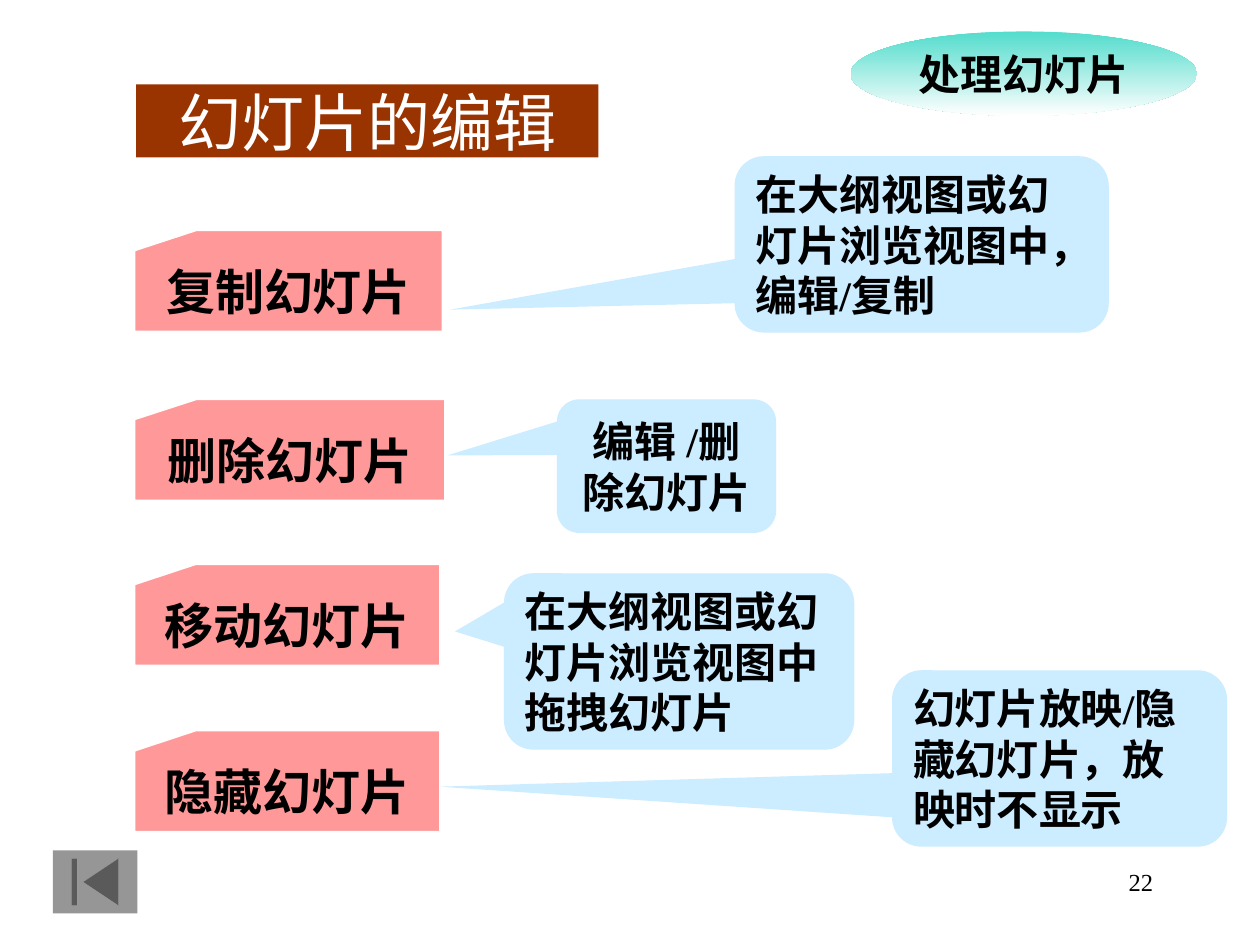
from pptx import Presentation
from pptx.dml.color import RGBColor
from pptx.enum.shapes import MSO_SHAPE as Preset
from pptx.enum.text import MSO_ANCHOR as Anchor, MSO_AUTO_SIZE as AutoSize, PP_ALIGN as Align
from pptx.util import Inches, Pt

FONT = "Times New Roman"
BLACK = RGBColor(0x00, 0x00, 0x00)
WHITE = RGBColor(0xFF, 0xFF, 0xFF)
BROWN = RGBColor(0x99, 0x33, 0x00)
PINK = RGBColor(0xFF, 0x99, 0x99)
PALE_BLUE = RGBColor(0xCC, 0xEC, 0xFF)
TEAL = RGBColor(0x52, 0xDC, 0xCC)
GREY = RGBColor(0x96, 0x96, 0x96)

# Box, horizontal and vertical pointer offset, alignment, text
CALLOUTS = [
    ((5.83, 1.24, 2.97, 1.4), -1.26, 0.37, Align.LEFT, "在大纲视图或幻灯片浏览视图中，编辑/复制"),
    ((4.42, 3.17, 1.74, 1.06), -1.0, -0.08, Align.CENTER, "编辑 /删除幻灯片"),
    ((4, 4.55, 2.78, 1.4), -0.64, -0.17, Align.LEFT, "在大纲视图或幻灯片浏览视图中拖拽幻灯片"),
    ((7.08, 5.32, 2.66, 1.4), -1.85, 0.16, Align.LEFT, "幻灯片放映/隐藏幻灯片，放映时不显示"),
]
CARDS = [
    ((1.07, 1.83, 2.44, 0.8), "复制幻灯片"),
    ((1.07, 3.17, 2.46, 0.8), "删除幻灯片"),
    ((1.07, 4.48, 2.42, 0.8), "移动幻灯片"),
    ((1.07, 5.8, 2.42, 0.8), "隐藏幻灯片"),
]


def to_inches(box):
    return [Inches(length) for length in box]


def write(shape, text, size, color=BLACK, bold=True, align=Align.CENTER,
          anchor=Anchor.MIDDLE, wrap=True):
    frame = shape.text_frame
    frame.text = text
    frame.word_wrap = wrap
    frame.auto_size = AutoSize.NONE
    frame.vertical_anchor = anchor
    paragraph = frame.paragraphs[0]
    paragraph.alignment = align
    font = paragraph.font
    font.name = FONT
    font.size = Pt(size)
    font.bold = bold
    font.color.rgb = color


def add_preset(slide, preset, box, fill):
    """Add a flat shape without outline or shadow."""
    shape = slide.shapes.add_shape(preset, *to_inches(box))
    shape.shadow.inherit = False
    shape.fill.solid()
    shape.fill.fore_color.rgb = fill
    shape.line.fill.background()
    return shape


def add_callout(slide, box, pointer_x, pointer_y, align, text):
    callout = add_preset(slide, Preset.ROUNDED_RECTANGULAR_CALLOUT, box, PALE_BLUE)
    callout.adjustments[0] = pointer_x
    callout.adjustments[1] = pointer_y
    write(callout, text, 24, align=align)


def add_card(slide, box, text):
    card = add_preset(slide, Preset.FLOWCHART_CARD, box, PINK)
    card.line.color.rgb = WHITE
    card.line.width = Pt(0.75)
    write(card, text, 28)


def add_topic(slide, box, text):
    topic = add_preset(slide, Preset.OVAL, box, TEAL)
    topic.fill.gradient()
    topic.fill.gradient_angle = 270
    for stop, color in zip(topic.fill.gradient_stops, (TEAL, WHITE)):
        stop.color.rgb = color
    write(topic, text, 24, wrap=False)


def place_title(slide, box, text):
    title = slide.shapes.title
    title.left, title.top, title.width, title.height = to_inches(box)
    title.fill.solid()
    title.fill.fore_color.rgb = BROWN
    write(title, text, 36, color=WHITE, bold=False)


def add_page_number(slide, box, text):
    number = slide.shapes.add_textbox(*to_inches(box))
    write(number, text, 14, bold=False, align=Align.RIGHT, anchor=Anchor.TOP)


def main():
    presentation = Presentation()
    presentation.slide_width = Inches(10)
    presentation.slide_height = Inches(7.5)
    slide = presentation.slides.add_slide(presentation.slide_layouts.get_by_name("Title Only"))

    place_title(slide, (1.08, 0.67, 3.67, 0.58), "幻灯片的编辑")
    for callout in CALLOUTS:
        add_callout(slide, *callout)
    for card in CARDS:
        add_card(slide, *card)
    add_topic(slide, (6.75, 0.25, 2.75, 0.67), "处理幻灯片")
    add_preset(slide, Preset.ACTION_BUTTON_BEGINNING, (0.42, 6.75, 0.67, 0.5), GREY)
    add_page_number(slide, (7.17, 6.83, 2.08, 0.5), "22")

    presentation.save("out.pptx")


if __name__ == "__main__":
    main()
